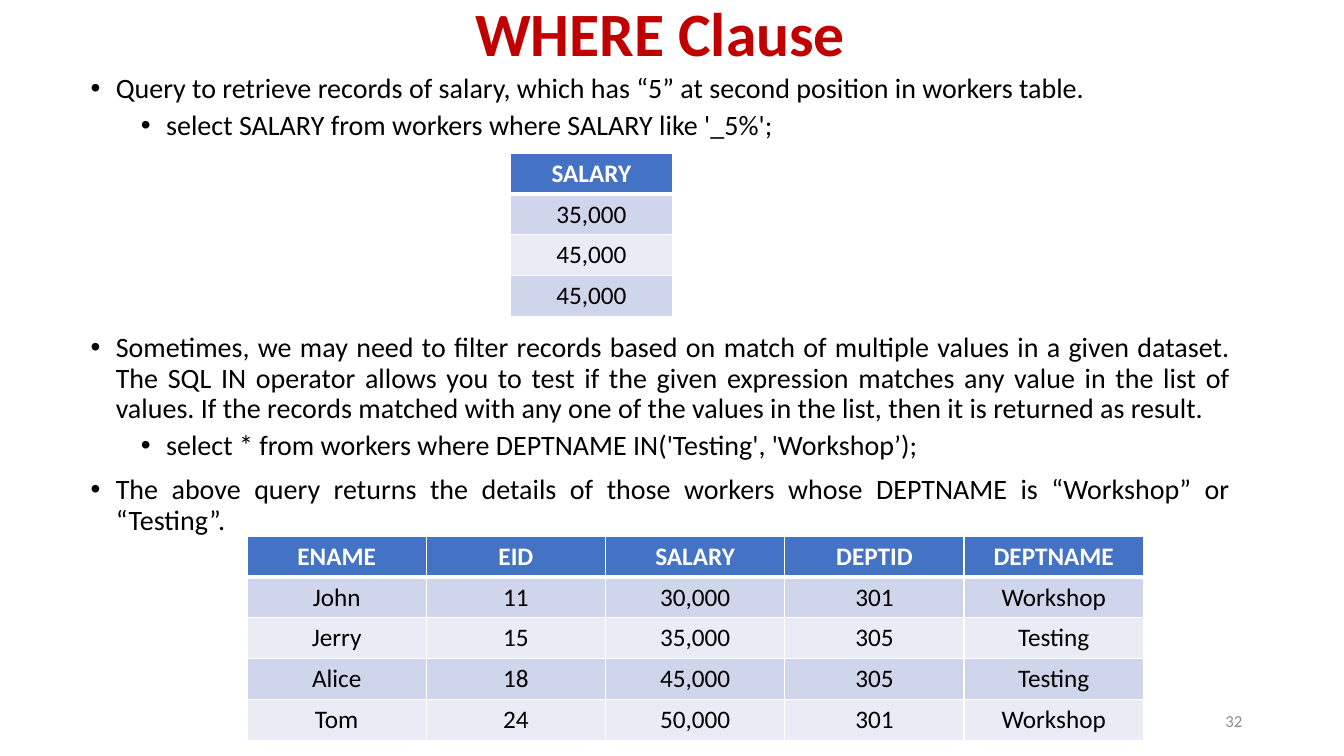
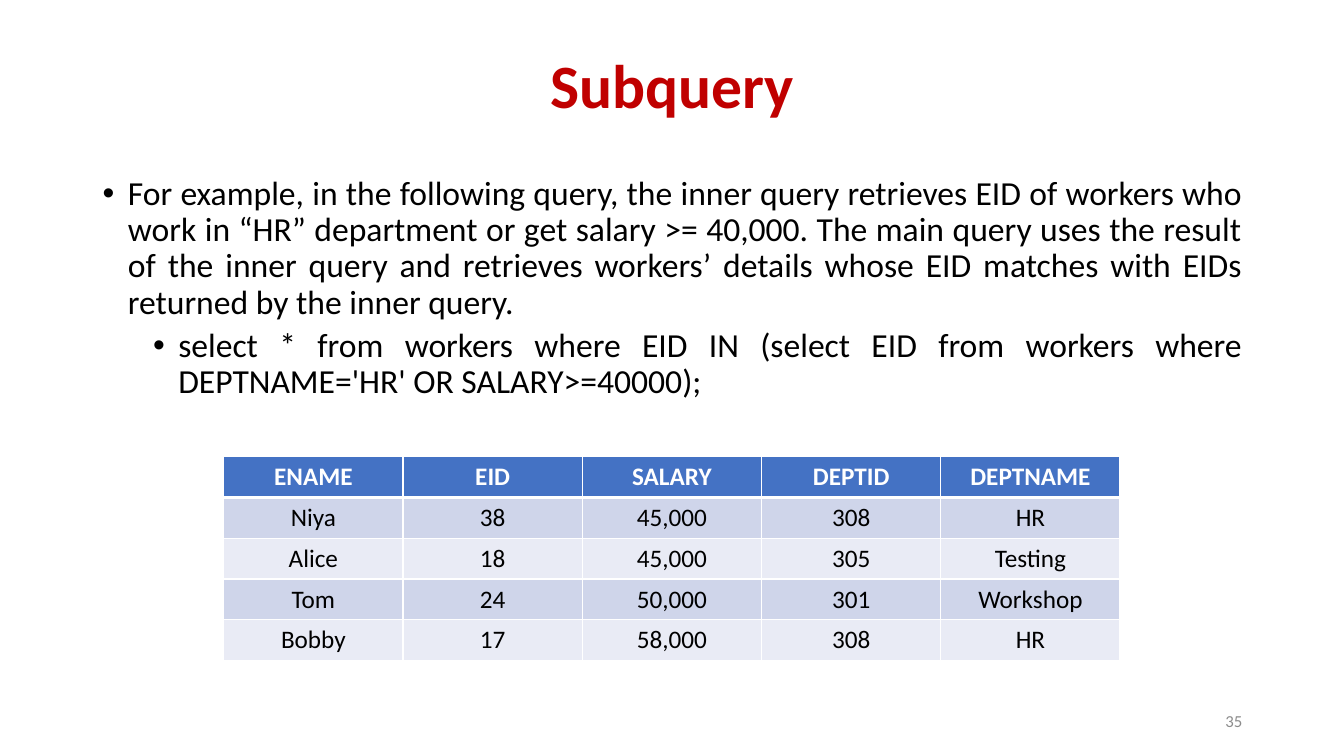
from lxml.etree import SubElement as Sub
from pptx import Presentation
from pptx.dml.color import RGBColor
from pptx.enum.text import MSO_ANCHOR as Anchor, MSO_AUTO_SIZE as Fit, PP_ALIGN as Align
from pptx.oxml.ns import qn
from pptx.util import Inches, Pt

hue = RGBColor.from_string
RED, BLACK, WHITE, GREY = "C00000", "000000", "FFFFFF", "8C8C8C"
HEAD, BANDS = "4472C4", ("CFD5EA", "E9EBF5")
HEADS = ("ENAME", "EID", "SALARY", "DEPTID", "DEPTNAME")

deck = Presentation()
deck.slide_width, deck.slide_height = Inches(13.33), Inches(7.5)
COL, ROW = deck.slide_width / 100, deck.slide_height / 100


def write(para, text, size=18, color=BLACK, bold=False, align=Align.CENTER,
          line=None, before=0, level=None):
    if level is not None:
        para.level = level
        props = para._p.get_or_add_pPr()
        props.set("marL", str(Inches(0.25 + 0.5 * level)))
        props.set("indent", str(Inches(-0.25)))
        Sub(props, qn("a:buFont"), typeface="Arial")
        Sub(props, qn("a:buChar"), char="•")
    para.alignment = align
    para.space_before = Pt(before)
    if line:
        para.line_spacing = line
    run = para.add_run()
    run.text = text
    font = run.font
    font.name, font.size, font.bold = "Calibri", Pt(size), bold
    font.color.rgb = hue(color)


def place(left, top, wide, high):
    return [int(v) for v in (left * COL, top * ROW, wide * COL, high * ROW)]


pages = [
    dict(
        title="WHERE Clause", number="32", left=6, top=-4.8, body=9.2, size=20,
        points=[
            (0, 0, "Query to retrieve records of salary, which has “5” at second position in workers table."),
            (1, 5, "select SALARY from workers where SALARY like '_5%';"),
            (0, 137, "Sometimes, we may need to filter records based on match of multiple values in a "
                     "given dataset. The SQL IN operator allows you to test if the given expression "
                     "matches any value in the list of values. If the records matched with any one of "
                     "the values in the list, then it is returned as result."),
            (1, 5, "select * from workers where DEPTNAME IN('Testing', 'Workshop’);"),
            (0, 10, "The above query returns the details of those workers whose DEPTNAME is "
                    "“Workshop” or “Testing”."),
        ],
        tables=[
            (37.96, 20.27, 12.08, [("SALARY",), ("35,000",), ("45,000",), ("45,000",)]),
            (18.38, 70.93, 13.34, [
                HEADS,
                ("John", "11", "30,000", "301", "Workshop"),
                ("Jerry", "15", "35,000", "305", "Testing"),
                ("Alice", "18", "45,000", "305", "Testing"),
                ("Tom", "24", "50,000", "301", "Workshop"),
            ]),
        ],
    ),
    dict(
        title="Subquery", number="35", left=6.9, top=2, body=22.67, size=24,
        points=[
            (0, 0, "For example, in the following query, the inner query retrieves EID of workers who "
                   "work in “HR” department or get salary >= 40,000. The main query uses the result "
                   "of the inner query and retrieves workers’ details whose EID matches with EIDs "
                   "returned by the inner query."),
            (1, 5, "select * from workers where EID IN (select EID from workers where "
                   "DEPTNAME='HR' OR SALARY>=40000);"),
        ],
        tables=[
            (16.65, 60.4, 13.34, [
                HEADS,
                ("Niya", "38", "45,000", "308", "HR"),
                ("Alice", "18", "45,000", "305", "Testing"),
                ("Tom", "24", "50,000", "301", "Workshop"),
                ("Bobby", "17", "58,000", "308", "HR"),
            ]),
        ],
    ),
]

for page in pages:
    slide = deck.slides.add_slide(deck.slide_layouts[5])
    shapes = slide.shapes

    title = shapes.title
    title.left, title.top, title.width, title.height = place(page["left"], page["top"], 86.27, 19.33)
    frame = title.text_frame
    frame.auto_size, frame.vertical_anchor = Fit.NONE, Anchor.MIDDLE
    write(frame.paragraphs[0], page["title"], size=44, color=RED, bold=True, line=0.9)

    frame = shapes.add_textbox(*place(page["left"], page["body"], 86.27, 63.47)).text_frame
    frame.word_wrap = True
    for i, (level, before, text) in enumerate(page["points"]):
        para = frame.add_paragraph() if i else frame.paragraphs[0]
        write(para, text, size=page["size"], align=Align.JUSTIFY, line=0.9,
              before=before, level=level)

    frame = shapes.add_textbox(*place(70.67, 92.67, 22.5, 5.33)).text_frame
    frame.word_wrap, frame.vertical_anchor = True, Anchor.MIDDLE
    write(frame.paragraphs[0], page["number"], size=12, color=GREY, align=Align.RIGHT)

    for left, top, wide, rows in page["tables"]:
        count = len(rows[0])
        spot = place(left, top, wide * count, 5.4 * len(rows))
        table = shapes.add_table(len(rows), count, *spot).table
        for r, row in enumerate(rows):
            for c, text in enumerate(row):
                cell = table.cell(r, c)
                props = cell._tc.get_or_add_tcPr()
                for side in "LRTB":
                    thick = 3 if (r, side) in ((0, "B"), (1, "T")) else 1
                    edge = Sub(props, qn("a:ln" + side), w=str(Pt(thick)))
                    Sub(Sub(edge, qn("a:solidFill")), qn("a:srgbClr"), val=WHITE)
                cell.fill.solid()
                cell.fill.fore_color.rgb = hue(BANDS[(r - 1) % 2] if r else HEAD)
                write(cell.text_frame.paragraphs[0], text,
                      color=BLACK if r else WHITE, bold=r == 0)

deck.save("out.pptx")
